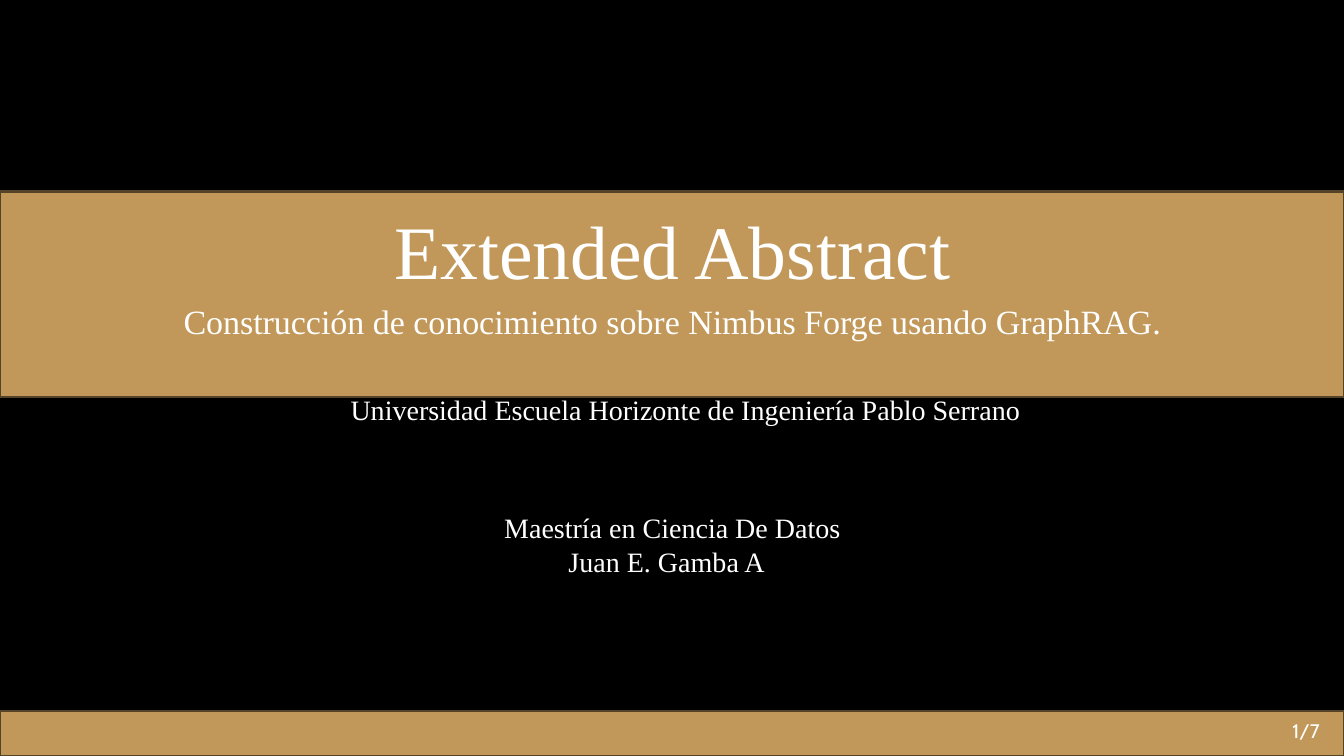
"""Builds the title slide of an extended abstract."""
from pptx import Presentation
from pptx.dml.color import RGBColor
from pptx.enum.shapes import MSO_SHAPE
from pptx.enum.text import MSO_ANCHOR, PP_ALIGN
from pptx.util import Inches, Pt

RECTANGLE = MSO_SHAPE.RECTANGLE
TOP, BOTTOM = MSO_ANCHOR.TOP, MSO_ANCHOR.BOTTOM
LEFT, CENTER = PP_ALIGN.LEFT, PP_ALIGN.CENTER

WIDTH, HEIGHT = 13.33, 7.5
SERIF, SANS = "Times New Roman", "Cabin"
BLACK, WHITE, GOLD, BROWN = "000000", "FFFFFF", "C19859", "554327"

BANDS = [(7.05, 0.45), (1.9, 2.04)]
TITLE = [
    ("Extended Abstract", 54),
    ("Construcción de conocimiento sobre Nimbus Forge usando GraphRAG.", 24.3),
]
DEGREE = "Maestría en Ciencia De Datos"
UNIVERSITY = "Universidad Escuela Horizonte de Ingeniería Pablo Serrano"
AUTHOR = "Juan E. Gamba A"
PAGE_NUMBER = "1/7"


def color(value):
    return RGBColor.from_string(value)


def add_band(page, top, height):
    band = page.shapes.add_shape(
        RECTANGLE, 0, Inches(top), Inches(WIDTH), Inches(height))
    band.shadow.inherit = False
    band.fill.solid()
    band.fill.fore_color.rgb = color(GOLD)
    band.line.color.rgb = color(BROWN)
    band.line.width = Pt(1.5)


def add_text(page, at, lines, font=SERIF, align=CENTER, anchor=TOP,
             spacing=0.9, before=10, bottom=0.05):
    box = page.shapes.add_textbox(*[Inches(length) for length in at])
    frame = box.text_frame
    frame.word_wrap = True
    frame.vertical_anchor = anchor
    frame.margin_bottom = Inches(bottom)
    para = frame.paragraphs[0]
    para.alignment = align
    para.line_spacing = spacing
    para.space_before = Pt(before)
    for index, (text, size) in enumerate(lines):
        if index:
            para.add_line_break()
        span = para.add_run()
        span.text = text
        span.font.name = font
        span.font.size = Pt(size)
        span.font.color.rgb = color(WHITE)


def main():
    deck = Presentation()
    deck.slide_width, deck.slide_height = Inches(WIDTH), Inches(HEIGHT)
    page = deck.slides.add_slide(deck.slide_layouts[6])
    page.background.fill.solid()
    page.background.fill.fore_color.rgb = color(BLACK)
    for top, height in BANDS:
        add_band(page, top, height)
    add_text(page, (1.67, 2.67, 10, 1.67), TITLE, anchor=BOTTOM,
             spacing=1.15, before=0, bottom=0.95)
    add_text(page, (1.67, 5.05, 10, 1.81), [(DEGREE, 20)])
    add_text(page, (1.8, 3.88, 10, 1.81), [(UNIVERSITY, 20)])
    add_text(page, (5.54, 5.35, 2.26, 0.44), [(AUTHOR, 20)],
             align=LEFT, spacing=1, before=0)
    add_text(page, (12.72, 7.11, 0.61, 0.32), [(PAGE_NUMBER, 14)],
             font=SANS, align=LEFT)
    deck.save("out.pptx")


if __name__ == "__main__":
    main()
